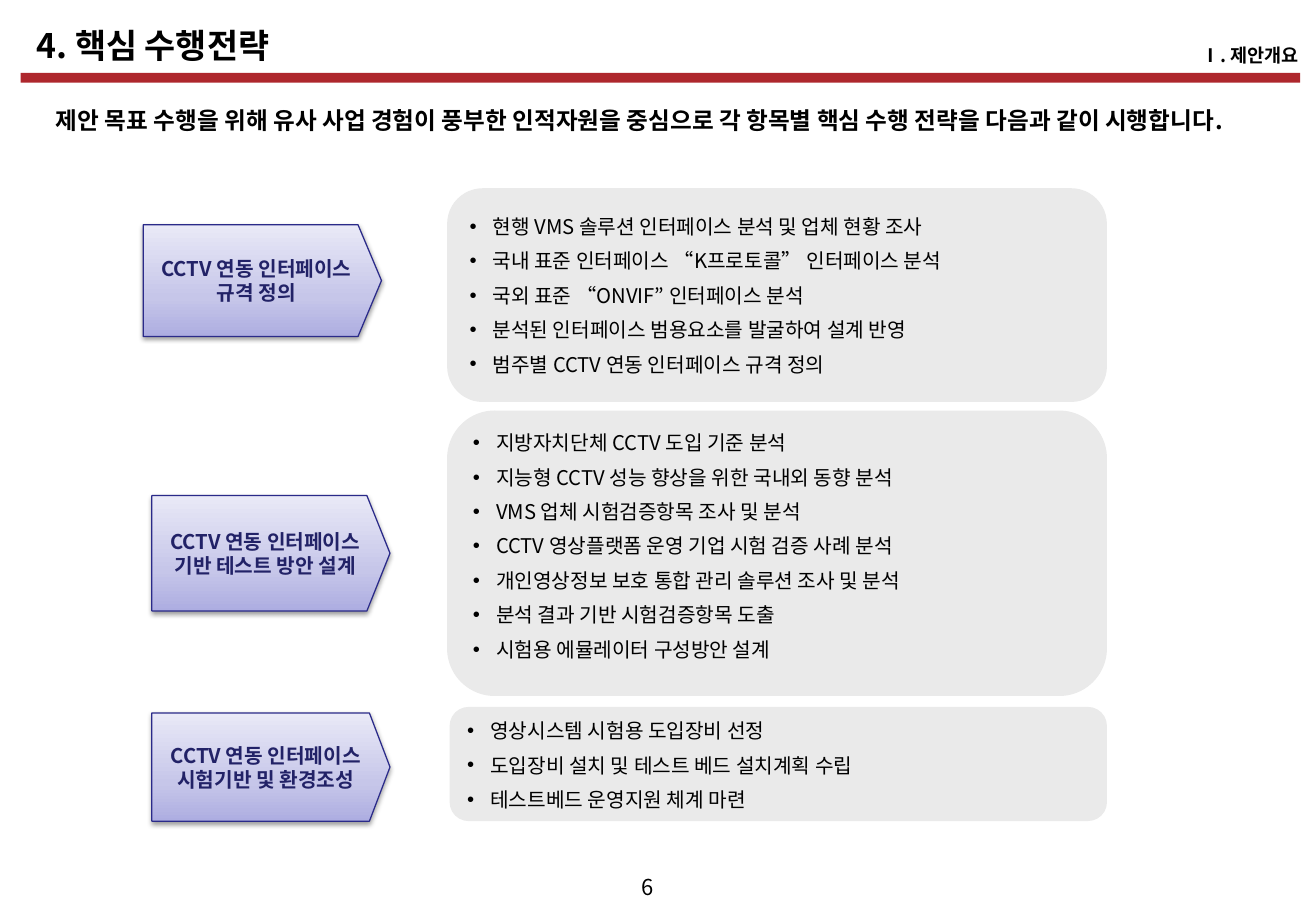
from pptx import Presentation
from pptx.dml.color import RGBColor
from pptx.enum.shapes import MSO_SHAPE
from pptx.enum.text import MSO_ANCHOR, MSO_AUTO_SIZE, PP_ALIGN
from pptx.oxml import parse_xml
from pptx.oxml.ns import nsdecls, qn
from pptx.util import Inches, Pt
from lxml.etree import SubElement


def color(code):
    return RGBColor.from_string(code)


class Deck:
    font = "Noto Sans CJK KR"
    black, navy, edge = "000000", "222267", "2A2A89"
    red, gray = "AE272D", "EAEAEA"
    stops = [(0, "ADADE1"), (35, "C6C6E9"), (100, "E9E9F7")]

    def __init__(self, wide, high):
        self.prs = Presentation()
        self.prs.slide_width, self.prs.slide_height = Inches(wide), Inches(high)
        self.slide = self.prs.slides.add_slide(self.prs.slide_layouts[5])

    def frame(self, shape, inset, anchor):
        frame = shape.text_frame
        frame.word_wrap = True
        frame.auto_size = MSO_AUTO_SIZE.NONE
        frame.vertical_anchor = anchor
        if inset is not None:
            frame.margin_left = frame.margin_right = Inches(inset)
            frame.margin_top = frame.margin_bottom = Inches(inset)
        return frame

    def add_text(self, para, text, size, code=black, bold=False, align=PP_ALIGN.LEFT):
        para.alignment = align
        run = para.add_run()
        run.text = text
        run.font.size, run.font.bold = Pt(size), bold
        run.font.name = self.font
        run.font.color.rgb = color(code)
        SubElement(run.font._element, qn("a:ea")).set("typeface", self.font)

    def title(self, box, text, size):
        shape = self.slide.shapes.title
        shape.left, shape.top, shape.width, shape.height = map(Inches, box)
        frame = self.frame(shape, 0, MSO_ANCHOR.MIDDLE)
        self.add_text(frame.paragraphs[0], text, size, bold=True)

    def label(self, box, text, size, bold=True, align=PP_ALIGN.LEFT):
        shape = self.slide.shapes.add_textbox(*map(Inches, box))
        frame = self.frame(shape, 0, MSO_ANCHOR.MIDDLE)
        self.add_text(frame.paragraphs[0], text, size, bold=bold, align=align)

    def block(self, kind, box, fill):
        shape = self.slide.shapes.add_shape(kind, *map(Inches, box))
        shape.shadow.inherit = False
        shape.fill.solid()
        shape.fill.fore_color.rgb = color(fill)
        shape.line.fill.background()
        return shape

    def arrow(self, box, point, text):
        shape = self.slide.shapes.add_shape(MSO_SHAPE.PENTAGON, *map(Inches, box))
        shape.adjustments[0] = point
        # Gradient from bottom to top
        marks = "".join(f'<a:gs pos="{pos * 1000}"><a:srgbClr val="{code}"/></a:gs>'
                        for pos, code in self.stops)
        props = shape._element.spPr
        props.insert(2, parse_xml(
            f'<a:gradFill {nsdecls("a")} rotWithShape="1"><a:gsLst>{marks}</a:gsLst>'
            '<a:lin ang="16200000" scaled="0"/></a:gradFill>'))
        shape.line.color.rgb = color(self.edge)
        shape.line.width = Pt(0.75)
        # Soft shadow below
        shape.shadow.inherit = False
        props.find(qn("a:effectLst")).append(parse_xml(
            f'<a:outerShdw {nsdecls("a")} blurRad="{Pt(3.1)}" dist="{Pt(1.6)}" '
            'dir="5400000" rotWithShape="0"><a:srgbClr val="000000">'
            '<a:alpha val="38000"/></a:srgbClr></a:outerShdw>'))
        para = self.frame(shape, 0.04, MSO_ANCHOR.MIDDLE).paragraphs[0]
        para.line_spacing = Pt(14.4)
        self.add_text(para, text, 12, self.navy, True, PP_ALIGN.CENTER)

    def panel(self, box, anchor, items):
        shape = self.block(MSO_SHAPE.ROUNDED_RECTANGLE, box, self.gray)
        frame = self.frame(shape, None, anchor)
        for row, item in enumerate(items):
            para = frame.add_paragraph() if row else frame.paragraphs[0]
            props = para._p.get_or_add_pPr()
            props.set("marL", str(Inches(0.19)))
            props.set("indent", str(-Inches(0.19)))
            SubElement(props, qn("a:buFont")).set("typeface", "Arial")
            SubElement(props, qn("a:buChar")).set("char", "•")
            para.line_spacing = Pt(14.4)
            para.space_before = Pt(6 if row else 0)
            self.add_text(para, item, 12)


# Strategies: arrow box, arrow point, arrow text, panel box, anchor, bullets
plans = [
    ((1.18, 1.85, 1.96, 0.92), 0.21, "CCTV 연동 인터페이스 규격 정의",
     (3.68, 1.55, 5.43, 1.76), MSO_ANCHOR.MIDDLE, [
        "현행 VMS 솔루션 인터페이스 분석 및 업체 현황 조사",
        "국내 표준 인터페이스 “K프로토콜” 인터페이스 분석",
        "국외 표준 “ONVIF” 인터페이스 분석",
        "분석된 인터페이스 범용요소를 발굴하여 설계 반영",
        "범주별 CCTV 연동 인터페이스 규격 정의"]),
    ((1.25, 4.08, 1.96, 0.95), 0.2, "CCTV 연동 인터페이스 기반 테스트 방안 설계",
     (3.68, 3.38, 5.43, 2.35), MSO_ANCHOR.TOP, [
        "지방자치단체 CCTV 도입 기준 분석",
        "지능형 CCTV 성능 향상을 위한 국내외 동향 분석",
        "VMS 업체 시험검증항목 조사 및 분석",
        "CCTV 영상플랫폼 운영 기업 시험 검증 사례 분석",
        "개인영상정보 보호 통합 관리 솔루션 조사 및 분석",
        "분석 결과 기반 시험검증항목 도출",
        "시험용 에뮬레이터 구성방안 설계"]),
    ((1.25, 5.87, 1.96, 0.89), 0.19, "CCTV 연동 인터페이스 시험기반 및 환경조성",
     (3.7, 5.82, 5.41, 0.94), MSO_ANCHOR.TOP, [
        "영상시스템 시험용 도입장비 선정",
        "도입장비 설치 및 테스트 베드 설치계획 수립",
        "테스트베드 운영지원 체계 마련"]),
]


def main():
    deck = Deck(10.83, 7.5)

    # Header
    deck.block(MSO_SHAPE.RECTANGLE, (0.17, 0.6, 10.53, 0.08), deck.red)
    deck.title((0.3, 0.2, 4.43, 0.34), "4. 핵심 수행전략", 20)
    deck.label((6.1, 0.36, 4.59, 0.19), "Ⅰ. 제안개요", 11, align=PP_ALIGN.RIGHT)
    deck.label((0.46, 0.87, 10.1, 0.24),
               "제안 목표 수행을 위해 유사 사업 경험이 풍부한 인적자원을 중심으로 "
               "각 항목별 핵심 수행 전략을 다음과 같이 시행합니다.", 14)

    # Strategy rows
    for spot, point, name, box, anchor, items in plans:
        deck.arrow(spot, point, name)
        deck.panel(box, anchor, items)

    # Page number
    deck.label((5.1, 7.19, 0.45, 0.22), "6", 13, bold=False, align=PP_ALIGN.CENTER)

    deck.prs.save("out.pptx")


if __name__ == "__main__":
    main()
